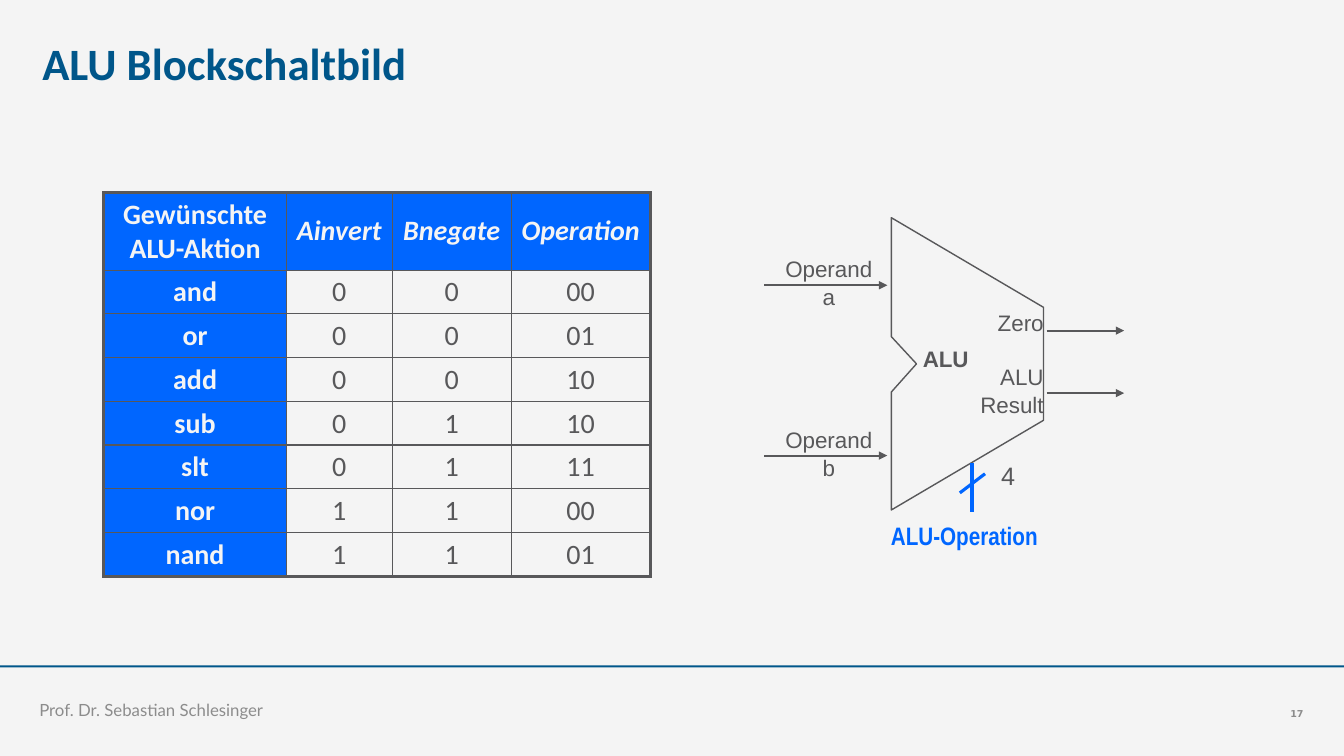
from typing import NamedTuple

from lxml.etree import SubElement
from pptx import Presentation
from pptx.dml.color import RGBColor
from pptx.enum.shapes import MSO_CONNECTOR, MSO_SHAPE
from pptx.enum.text import MSO_ANCHOR, MSO_AUTO_SIZE, PP_ALIGN
from pptx.oxml import parse_xml
from pptx.oxml.ns import nsdecls, qn
from pptx.util import Inches, Pt

PAPER, NAVY, BLUE, DARK, MUTED = "F4F4F4", "00568A", "0066FF", "58585A", "8C8C8C"


class Label(NamedTuple):
    lines: list[str]
    box: tuple[float, float, float, float]
    size: float = 16
    font: str = "Arial"
    color: str = DARK
    bold: bool = False
    align: PP_ALIGN = PP_ALIGN.CENTER


class Wire(NamedTuple):
    start: tuple[float, float]
    end: tuple[float, float]
    color: str = DARK
    width: float = 1.5
    arrow: bool = True


def rgb(value: str) -> RGBColor:
    return RGBColor.from_string(value)


def write(frame, lines: list[str], *, size: float, font: str, color: str,
          bold: bool = False, italic: bool = False,
          align: PP_ALIGN = PP_ALIGN.LEFT, spacing: float = 1.0) -> None:
    for index, line in enumerate(lines):
        paragraph = frame.paragraphs[0] if index == 0 else frame.add_paragraph()
        paragraph.alignment = align
        paragraph.line_spacing = spacing
        run = paragraph.add_run()
        run.text = line
        run.font.size, run.font.name = Pt(size), font
        run.font.bold, run.font.italic = bold, italic
        run.font.color.rgb = rgb(color)


def add_page_text(slide, text: str, box: tuple[float, float, float, float],
                  anchor: MSO_ANCHOR = MSO_ANCHOR.BOTTOM, **text_format) -> None:
    frame = slide.shapes.add_textbox(*map(Inches, box)).text_frame
    frame.word_wrap = True
    frame.vertical_anchor = anchor
    frame.margin_left = frame.margin_top = frame.margin_right = frame.margin_bottom = 0
    write(frame, [text], **text_format)


def add_label(slide, label: Label) -> None:
    frame = slide.shapes.add_textbox(*map(Inches, label.box)).text_frame
    frame.word_wrap = False
    frame.auto_size = MSO_AUTO_SIZE.SHAPE_TO_FIT_TEXT
    frame.vertical_anchor = MSO_ANCHOR.MIDDLE
    write(frame, label.lines, size=label.size, font=label.font, color=label.color,
          bold=label.bold, align=label.align, spacing=1.05)


def add_wire(slide, wire: Wire) -> None:
    connector = slide.shapes.add_connector(
        MSO_CONNECTOR.STRAIGHT, *map(Inches, wire.start + wire.end))
    connector.line.color.rgb = rgb(wire.color)
    connector.line.width = Pt(wire.width)
    if wire.arrow:
        SubElement(connector.line._get_or_add_ln(), qn("a:tailEnd"), type="triangle")
    SubElement(connector._element.spPr, qn("a:effectLst"))


def set_borders(cell, widths: dict[str, float]) -> None:
    for position, (side, width) in enumerate(widths.items()):
        border = parse_xml(
            f'<a:ln{side} {nsdecls("a")} w="{Pt(width)}"><a:solidFill>'
            f'<a:srgbClr val="{DARK}"/></a:solidFill></a:ln{side}>')
        cell._tc.get_or_add_tcPr().insert(position, border)


def add_control_table(slide) -> None:
    rows = [
        ["Gewünschte ALU-Aktion", "Ainvert", "Bnegate", "Operation"],
        ["and", "0", "0", "00"],
        ["or", "0", "0", "01"],
        ["add", "0", "0", "10"],
        ["sub", "0", "1", "10"],
        ["slt", "0", "1", "11"],
        ["nor", "1", "1", "00"],
        ["nand", "1", "1", "01"],
    ]
    column_widths = [1.81, 1.05, 1.18, 1.38]
    last_row, last_column = len(rows) - 1, len(column_widths) - 1
    table = slide.shapes.add_table(
        len(rows), len(column_widths), Inches(1.03), Inches(1.91),
        Inches(sum(column_widths)), Inches(3.8)).table
    table.first_row = table.horz_banding = False
    for column, width in zip(table.columns, column_widths):
        column.width = Inches(width)
    for r, values in enumerate(rows):
        table.rows[r].height = Inches(0.43 if r else 0.77)
        for c, value in enumerate(values):
            cell = table.cell(r, c)
            heading = r == 0 or c == 0
            if heading:
                cell.fill.solid()
                cell.fill.fore_color.rgb = rgb(BLUE)
            else:
                cell.fill.background()
            cell.vertical_anchor = MSO_ANCHOR.MIDDLE
            write(cell.text_frame, [value], size=20, font="Calibri",
                  color=PAPER if heading else DARK, bold=heading,
                  italic=r == 0 and c > 0, align=PP_ALIGN.CENTER)
            outer = {"L": c == 0, "R": c == last_column, "T": r == 0, "B": r == last_row}
            set_borders(cell, {side: 2.25 if edge else 1 for side, edge in outer.items()})


def add_alu_body(slide) -> None:
    corners = [(8.84, 2.16), (8.84, 3.34), (9.09, 3.61), (8.84, 3.89),
               (8.84, 5.06), (10.35, 4.17), (10.35, 3.05)]
    first, *others = [(Inches(x), Inches(y)) for x, y in corners]
    builder = slide.shapes.build_freeform(*first)
    builder.add_line_segments(others, close=True)
    body = builder.convert_to_shape()
    body.shadow.inherit = False
    body.fill.solid()
    body.fill.fore_color.rgb = rgb(PAPER)
    body.line.color.rgb = rgb(DARK)
    body.line.width = Pt(1)


def add_alu_diagram(slide) -> None:
    add_alu_body(slide)
    # Operand inputs, result outputs and the control bus
    wires = [Wire((7.58, y), (8.8, y)) for y in (2.83, 4.52)]
    wires += [Wire((10.38, y), (11.15, y)) for y in (3.28, 3.9)]
    wires += [
        Wire((9.64, 4.59), (9.64, 5.08), BLUE, 2.25, arrow=False),
        Wire((9.52, 4.89), (9.77, 4.7), BLUE, 2.25, arrow=False),
    ]
    for wire in wires:
        add_wire(slide, wire)
    labels = [
        Label(["Operand", "a"], (7.65, 2.48, 1.14, 0.64)),
        Label(["Operand", "b"], (7.65, 4.17, 1.14, 0.64)),
        Label(["ALU"], (9.05, 3.37, 0.66, 0.37), bold=True),
        Label(["Zero"], (9.79, 3.01, 0.66, 0.37), align=PP_ALIGN.RIGHT),
        Label(["ALU", "Result"], (9.61, 3.55, 0.84, 0.64), align=PP_ALIGN.RIGHT),
        Label(["4"], (9.83, 4.51, 0.34, 0.4), size=18),
        Label(["ALU-Operation"], (8.73, 5.1, 1.67, 0.4), 18, "Arial Narrow", BLUE, True),
    ]
    for label in labels:
        add_label(slide, label)


def main() -> None:
    deck = Presentation()
    deck.slide_width, deck.slide_height = Inches(13.33), Inches(7.5)
    slide = deck.slides.add_slide(deck.slide_layouts[6])
    slide.background.fill.solid()
    slide.background.fill.fore_color.rgb = rgb(PAPER)

    # Title
    add_page_text(slide, "ALU Blockschaltbild", (0.42, 0.35, 8.33, 0.63), MSO_ANCHOR.TOP,
                  size=32, font="Calibri", color=NAVY, bold=True)

    # Footer
    footer_rule = slide.shapes.add_shape(
        MSO_SHAPE.RECTANGLE, 0, Inches(6.6), deck.slide_width, Inches(0.02))
    footer_rule.shadow.inherit = False
    footer_rule.fill.solid()
    footer_rule.fill.fore_color.rgb = rgb(NAVY)
    footer_rule.line.fill.background()
    add_page_text(slide, "Prof. Dr. Sebastian Schlesinger", (0.39, 6.75, 9.2, 0.39),
                  size=12, font="Lato", color=MUTED)
    add_page_text(slide, "17", (12.03, 6.75, 0.9, 0.39), size=6.8, font="DejaVu Sans",
                  color=MUTED, bold=True, align=PP_ALIGN.RIGHT)

    # Content
    add_control_table(slide)
    add_alu_diagram(slide)
    deck.save("out.pptx")


if __name__ == "__main__":
    main()
